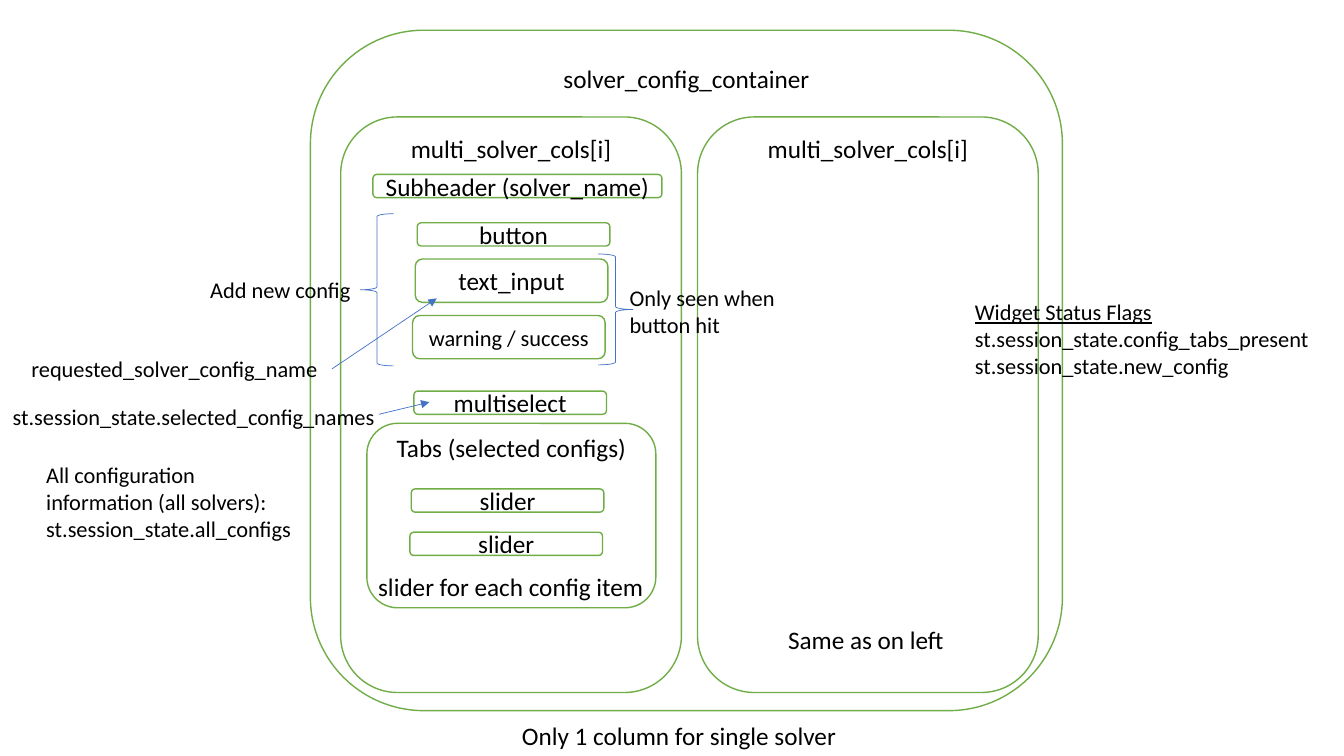
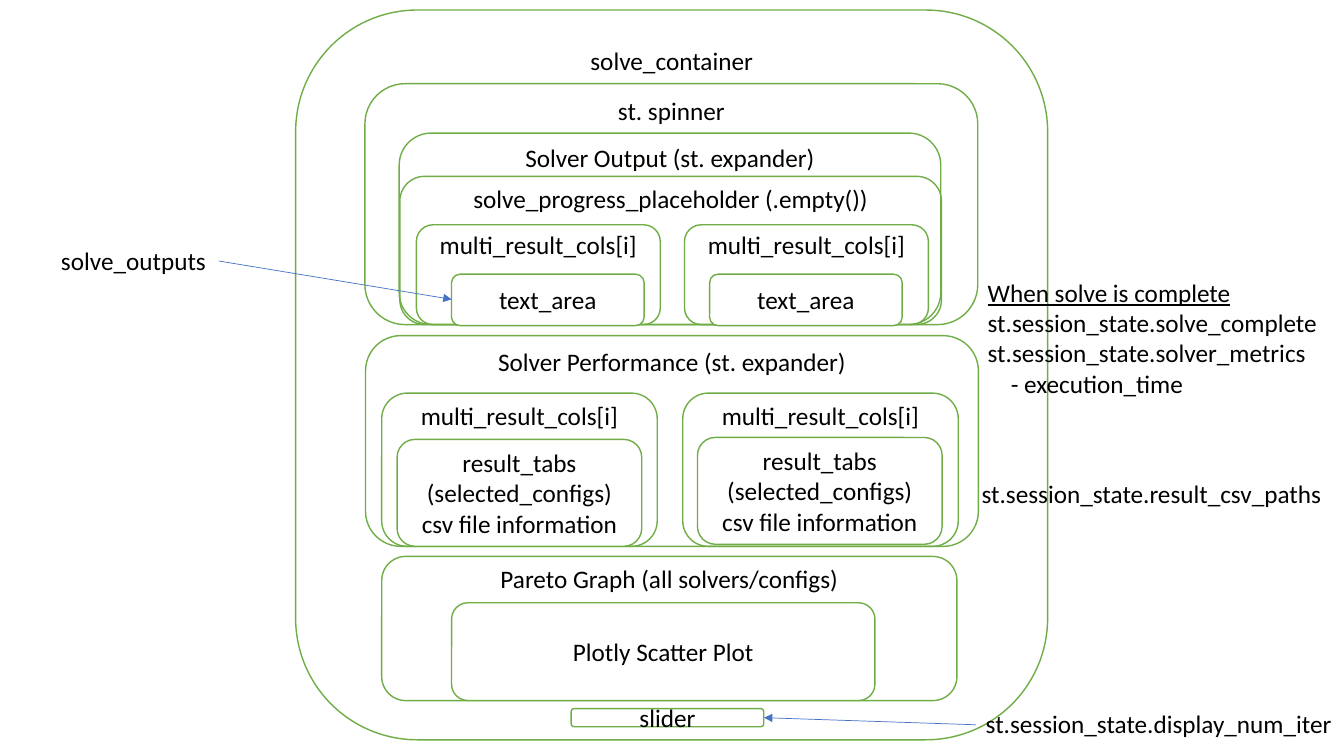
from lxml.etree import SubElement
from pptx import Presentation
from pptx.dml.color import RGBColor
from pptx.enum.shapes import MSO_CONNECTOR, MSO_SHAPE
from pptx.enum.text import MSO_ANCHOR, MSO_AUTO_SIZE, PP_ALIGN
from pptx.oxml.ns import qn
from pptx.util import Inches, Pt

WIDTH, HEIGHT = Inches(13.33), Inches(7.5)
GREEN, BLUE, BLACK, WHITE = "70AD47", "4472C4", "000000", "FFFFFF"
FONT = "Calibri"
LARGE, SMALL = 18, 16
LINE_HEIGHT = 1.22
WIDGET_WIDTH, WIDGET_HEIGHT = 14.33, 3.07


# Lengths are percentages of the slide's width and height
def across(share):
    return int(WIDTH * share / 100)


def down(share):
    return int(HEIGHT * share / 100)


def colour(value):
    return RGBColor.from_string(value)


def write(frame, text, size, align):
    frame.text = text
    for para in frame.paragraphs:
        para.alignment = align
        for span in para.runs:
            span.font.name = FONT
            span.font.size = Pt(size)
            span.font.color.rgb = colour(BLACK)


def add_outline(page, preset, left, top, width, height, line, points, fill=None):
    shape = page.shapes.add_shape(
        preset, across(left), down(top), across(width), down(height))
    shape.shadow.inherit = False
    shape.line.color.rgb = colour(line)
    shape.line.width = Pt(points)
    if fill:
        shape.fill.solid()
        shape.fill.fore_color.rgb = colour(fill)
    else:
        shape.fill.background()
    return shape


def add_widget(page, text, left, top, width=WIDGET_WIDTH, height=WIDGET_HEIGHT,
               size=LARGE, fill=WHITE):
    """Rounded box with its text in the middle."""
    box = add_outline(page, MSO_SHAPE.ROUNDED_RECTANGLE,
                      left, top, width, height, GREEN, 1, fill)
    box.text_frame.word_wrap = True
    box.text_frame.vertical_anchor = MSO_ANCHOR.MIDDLE
    write(box.text_frame, text, size, PP_ALIGN.CENTER)
    return box


def add_container(page, text, left, top, width, height):
    """Unfilled rounded box with its name at the top."""
    frame = add_widget(page, text, left, top, width, height, fill=None).text_frame
    frame.vertical_anchor = MSO_ANCHOR.TOP
    frame.margin_left = frame.margin_right = 0
    frame.margin_top = frame.margin_bottom = 0


def add_note(page, text, left, top, width, size=LARGE, wrapped_lines=0,
             heading=False):
    """Free text; the height follows from the number of lines."""
    lines = wrapped_lines or text.count("\n") + 1
    height = Inches(0.1) + Pt(lines * size * LINE_HEIGHT)
    box = page.shapes.add_textbox(across(left), down(top), across(width), height)
    frame = box.text_frame
    write(frame, text, size, PP_ALIGN.LEFT)
    frame.word_wrap = wrapped_lines > 0
    frame.auto_size = MSO_AUTO_SIZE.SHAPE_TO_FIT_TEXT
    if heading:
        frame.paragraphs[0].runs[0].font.underline = True
    return frame


def add_arrow(page, start, end):
    arrow = page.shapes.add_connector(
        MSO_CONNECTOR.STRAIGHT, across(start[0]), down(start[1]),
        across(end[0]), down(end[1]))
    arrow.line.color.rgb = colour(BLUE)
    arrow.line.width = Pt(0.5)
    SubElement(arrow.line._get_or_add_ln(), qn("a:tailEnd"), type="triangle")
    SubElement(arrow._element.spPr, qn("a:effectLst"))


def add_brace(page, left, top, width, height, rotation=0):
    brace = add_outline(page, MSO_SHAPE.LEFT_BRACE,
                        left, top, width, height, BLUE, 0.5)
    brace.rotation = rotation


def build_config_page(page):
    # Containers
    add_container(page, "solver_config_container", 23.1, 4, 55.95, 90)
    for left in (25.35, 51.9):
        add_container(page, "multi_solver_cols[i]", left, 15.47, 25.35, 76.13)
    add_container(page, "Tabs (selected configs)", 27.3, 56, 21.5, 24.4)

    # Widgets of the left column
    add_widget(page, "Subheader (solver_name)", 27.75, 23.07, 21.5)
    for text, left, top in (("button", 31.05, 29.47),
                            ("multiselect", 30.8, 51.73),
                            ("slider", 30.6, 64.67),
                            ("slider", 30.5, 70.4)):
        add_widget(page, text, left, top, fill=None)
    add_widget(page, "text_input", 30.9, 34.27, height=5.73, fill=None)
    add_widget(page, "warning / success", 30.7, 41.73, height=5.73,
               size=SMALL, fill=None)

    # Captions
    add_note(page, "slider for each config item", 27.4, 74.93, 21.5)
    add_note(page, "Same as on left", 57.9, 81.87, 13.3)
    add_note(page, "Only 1 column for single solver", 38.1, 94.67, 25.1)

    # State names and remarks
    add_note(page, "Add new config", 14.9, 35.87, 12.1, SMALL)
    add_note(page, "requested_solver_config_name", 1.6, 46.27, 23.1, SMALL)
    add_note(page, "st.session_state.selected_config_names",
             0.2, 52.67, 28.8, SMALL)
    add_note(page, "All configuration information (all solvers):\n"
             "st.session_state.all_configs", 2.7, 60.4, 20.4, SMALL,
             wrapped_lines=3)
    add_note(page, "Only seen when button hit", 46.1, 36.93, 13.3, SMALL,
             wrapped_lines=2)
    add_note(page, "Widget Status Flags\nst.session_state.config_tabs_present\n"
             "st.session_state.new_config", 71.8, 38.8, 26.6, SMALL, heading=True)

    # Braces and arrows
    add_brace(page, 26.8, 28.27, 2.5, 20.13)
    add_brace(page, 44.5, 33.6, 2.6, 14.67, rotation=180)
    add_arrow(page, (24.7, 48.8), (32.5, 39.47))
    add_arrow(page, (28.2, 54.8), (31.95, 53.2))


def build_solve_page(page):
    # Containers
    for text, left, top, width, height in (
            ("solve_container", 22, 1.33, 55.95, 96.53),
            ("st. spinner", 27.15, 11.07, 45.6, 31.87),
            ("Solver Output (st. expander)", 29.7, 17.6, 40.3, 25.33),
            ("solve_progress_placeholder (.empty())", 29.75, 23.33, 40.3, 19.6),
            ("Solver Performance (st. expander)", 27.2, 44.4, 45.6, 27.87),
            ("Pareto Graph (all solvers/configs)", 28.4, 73.6, 42.8, 19.07)):
        add_container(page, text, left, top, width, height)

    # Paired output columns
    for column, area in ((30.98, 33.6), (50.93, 52.8)):
        add_container(page, "multi_result_cols[i]", column, 29.73, 18.15, 13.2)
        add_widget(page, "text_area", area, 36.27, height=6.8)

    # Paired performance columns
    for column, tabs, top in ((28.4, 29.55, 58.13), (50.8, 51.9, 57.87)):
        add_container(page, "multi_result_cols[i]", column, 52, 20.5, 20.27)
        add_widget(page, "result_tabs (selected_configs)\ncsv file information",
                   tabs, top, 18.2, 14.13)

    # Graph
    add_widget(page, "Plotly Scatter Plot", 33.6, 79.73, 31.5, 12.93)
    add_widget(page, "slider", 42.5, 93.73, height=2.4)

    # State names
    add_note(page, "solve_outputs", 3.8, 31.73, 12.4)
    state = add_note(page, "When solve is complete\n"
                     "st.session_state.solve_complete\n"
                     "st.session_state.solver_metrics\n- execution_time",
                     72.75, 36, 26.25, heading=True)
    indent = state.paragraphs[-1]._p.get_or_add_pPr()
    indent.set("marL", str(Inches(0.23)))
    add_note(page, "st.session_state.result_csv_paths", 72.3, 62.67, 27.15)
    add_note(page, "st.session_state.display_num_iter", 72.6, 93.07, 27.5)

    # Arrows
    add_arrow(page, (16.28, 34.53), (33.6, 39.6))
    add_arrow(page, (72.6, 95.87), (56.85, 94.93))


def main():
    deck = Presentation()
    deck.slide_width, deck.slide_height = WIDTH, HEIGHT
    blank = deck.slide_layouts[6]
    for build in (build_config_page, build_solve_page):
        build(deck.slides.add_slide(blank))
    deck.save("out.pptx")


if __name__ == "__main__":
    main()
